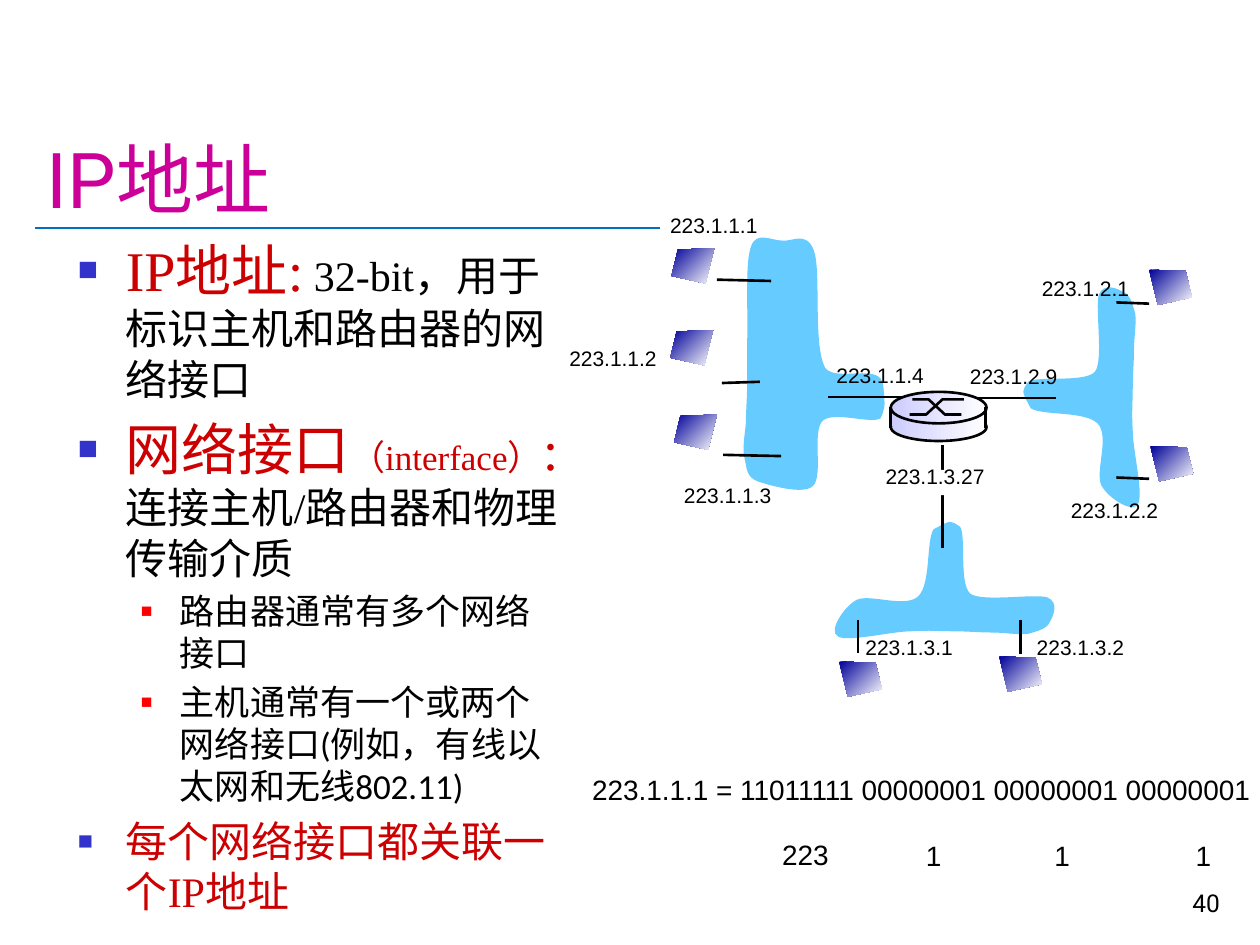
from lxml import etree
from pptx import Presentation
from pptx.dml.color import RGBColor
from pptx.enum.shapes import MSO_CONNECTOR, MSO_SHAPE
from pptx.enum.text import MSO_ANCHOR, MSO_AUTO_SIZE, PP_ALIGN
from pptx.oxml.ns import qn
from pptx.util import Inches, Pt

STRAIGHT = MSO_CONNECTOR.STRAIGHT
OVAL, RECTANGLE = MSO_SHAPE.OVAL, MSO_SHAPE.RECTANGLE
BOTTOM, TOP = MSO_ANCHOR.BOTTOM, MSO_ANCHOR.TOP
LEFT, RIGHT = PP_ALIGN.LEFT, PP_ALIGN.RIGHT
FIT, FIXED = MSO_AUTO_SIZE.SHAPE_TO_FIT_TEXT, MSO_AUTO_SIZE.NONE

BLACK, WHITE, RED = "000000", "FFFFFF", "CC0000"
SERIF = "Times New Roman"
CLOUD_BLUE = "66CCFF"
HOST_SHADE = ("000099", WHITE, 315)
ROUTER_SHADE = ("CCCCFF", WHITE, 0)

MAIN_BULLET = (0, 0.38, 0.38, "3333CC", 60)
SUB_BULLET = (1, 0.81, 0.31, "FF0000", 55)
BODY = [
    (MAIN_BULLET, [("IP地址:", 32, SERIF, RED),
                   (" 32-bit，用于标识主机和路由器的网络接口", 24, SERIF, BLACK)]),
    (MAIN_BULLET, [("网络接口", 32, SERIF, RED), ("（interface）", 20, SERIF, RED),
                   (":", 32, SERIF, RED), (" 连接主机/路由器和物理传输介质", 24, SERIF, BLACK)]),
    (SUB_BULLET, [("路由器通常有多个网络接口", 20, "Calibri", BLACK)]),
    (SUB_BULLET, [("主机通常有一个或两个网络接口(例如，有线以太网和无线802.11)", 20, "Calibri", BLACK)]),
    (MAIN_BULLET, [("每个网络接口都关联一个IP地址", 24, SERIF, RED)]),
]

WIDE_CLOUD = [
    (7.01, 3.06), (6.99, 2.87), (6.64, 3.04), (6.55, 2.92), (6.45, 2.74), (6.52, 2.16),
    (6.46, 1.99), (6.4, 1.83), (6.29, 1.92), (6.21, 1.91), (6.12, 1.91), (6, 1.83),
    (5.96, 1.96), (5.91, 2.09), (5.94, 2.53), (5.93, 2.71), (5.93, 2.9), (5.93, 2.94),
    (5.93, 3.05), (5.93, 3.16), (5.92, 3.26), (5.92, 3.36), (5.91, 3.46), (5.89, 3.57),
    (5.91, 3.64), (5.93, 3.72), (5.92, 3.78), (6.01, 3.82), (6.1, 3.85), (6.37, 3.93),
    (6.45, 3.86), (6.54, 3.78), (6.44, 3.43), (6.53, 3.34), (6.62, 3.26), (6.91, 3.37),
    (6.99, 3.32), (7.02, 3.24), (7.03, 3.25), (7.01, 3.06)]
NARROW_CLOUD = [
    (0.87, 0.78), (0.78, 0.72), (0.44, 0.76), (0.34, 0.66), (0.24, 0.56), (0.36, 0.28),
    (0.31, 0.17), (0.26, 0.07), (0.06, -0.06), (0.02, 0.02), (-0.03, 0.09), (0.06, 0.45),
    (0.06, 0.6), (0.07, 0.75), (0.06, 0.83), (0.06, 0.94), (0.06, 1.04), (0.05, 1.15),
    (0.05, 1.25), (0.05, 1.34), (0.03, 1.45), (0.04, 1.53), (0.06, 1.6), (0.08, 1.68),
    (0.13, 1.7), (0.18, 1.73), (0.29, 1.78), (0.33, 1.68), (0.36, 1.57), (0.29, 1.16),
    (0.36, 1.07), (0.44, 0.98), (0.82, 1.04), (0.89, 0.99), (0.94, 0.91), (0.95, 0.93),
    (0.87, 0.78)]
CLOUDS = [(NARROW_CLOUD, 7.49, 4.61, 270), (NARROW_CLOUD, 8.59, 3.16, 180),
          (WIDE_CLOUD, 6.46, 2.88, 0)]

LEFT_HOSTS = [(5.33, 1.97), (5.32, 2.62), (5.35, 3.29)]
OTHER_HOSTS = [(9.12, 2.14), (9.13, 3.54), (7.93, 5.21), (6.66, 5.25)]
HOST_OUTLINE = [(0, 0), (0.29, 0.01), (0.34, 0.22), (0.07, 0.28)]
HOST_WIDTH = 0.34

LINKS = [
    (5.69, 2.22, 6.12, 2.23), (5.73, 3.04, 6.03, 3.03), (5.74, 3.61, 6.2, 3.62),
    (8.86, 2.4, 9.12, 2.41), (8.86, 3.79, 9.12, 3.8),
    (6.81, 5.18, 6.81, 4.92), (8.1, 5.19, 8.1, 4.92),
    (6.57, 3.15, 7.18, 3.15), (7.74, 3.16, 8.38, 3.16), (7.48, 3.53, 7.48, 4.35)]
ADDRESSES = [
    ("223.1.1.1", 5.22, 1.64), ("223.1.1.2", 4.42, 2.69), ("223.1.1.3", 5.33, 3.78),
    ("223.1.1.4", 6.54, 2.83), ("223.1.2.9", 7.6, 2.84), ("223.1.2.2", 8.4, 3.9),
    ("223.1.2.1", 8.17, 2.14), ("223.1.3.2", 8.13, 4.99), ("223.1.3.1", 6.77, 4.99)]
BINARY_LABELS = [
    ("223.1.1.1 = 11011111 00000001 00000001 00000001", 4.6, 6.08, 5.52),
    ("223", 6.11, 6.6, 0.57), ("1", 7.25, 6.61, 0.32),
    ("1", 8.27, 6.61, 0.32), ("1", 9.39, 6.61, 0.32)]


def rgb(value):
    return RGBColor.from_string(value)


def add_run(paragraph, text, size, font, color):
    run = paragraph.add_run()
    run.text = text
    run.font.size = Pt(size)
    run.font.name = font
    run.font.color.rgb = rgb(color)


def add_text_box(slide, left, top, width, height):
    return slide.shapes.add_textbox(Inches(left), Inches(top), Inches(width), Inches(height))


def add_label(slide, text, left, top, width=0.9, height=0.3, size=12):
    frame = add_text_box(slide, left, top, width, height).text_frame
    frame.word_wrap = False
    frame.auto_size = FIT
    add_run(frame.paragraphs[0], text, size, "Arial", BLACK)


def add_line(slide, x1, y1, x2, y2, color=BLACK, weight=1.5):
    line = slide.shapes.add_connector(STRAIGHT, Inches(x1), Inches(y1), Inches(x2), Inches(y2))
    line.line.color.rgb = rgb(color)
    line.line.width = Pt(weight)
    etree.SubElement(line._element.spPr, qn("a:effectLst"))


def paint(shape, fill=None, shade=None, outlined=False):
    shape.shadow.inherit = False
    if shade:
        start, end, angle = shade
        shape.fill.gradient()
        shape.fill.gradient_angle = angle
        for stop, color in zip(shape.fill.gradient_stops, (start, end)):
            stop.color.rgb = rgb(color)
    elif fill:
        shape.fill.solid()
        shape.fill.fore_color.rgb = rgb(fill)
    else:
        shape.fill.background()
    if outlined:
        shape.line.color.rgb = rgb(BLACK)
        shape.line.width = Pt(1.5)
    else:
        shape.line.fill.background()


def add_box(slide, kind, left, top, width, height, **look):
    shape = slide.shapes.add_shape(kind, Inches(left), Inches(top), Inches(width), Inches(height))
    paint(shape, **look)


def add_outline(slide, points, close=True, **look):
    corners = [(Inches(x), Inches(y)) for x, y in points]
    builder = slide.shapes.build_freeform(*corners[0])
    builder.add_line_segments(corners[1:], close=close)
    shape = builder.convert_to_shape()
    paint(shape, **look)
    return shape


def add_cloud(slide, knots, centre_x, centre_y, rotation):
    cloud = add_outline(slide, knots, fill=CLOUD_BLUE)
    segments = list(cloud._element.iter(qn("a:lnTo")))
    for i in range(0, len(segments), 3):
        curve = etree.Element(qn("a:cubicBezTo"))
        segments[i].addprevious(curve)
        for segment in segments[i:i + 3]:
            curve.append(segment[0])
            segment.getparent().remove(segment)
    cloud.left = Inches(centre_x) - cloud.width // 2
    cloud.top = Inches(centre_y) - cloud.height // 2
    cloud.rotation = rotation


def add_title(slide):
    title = slide.shapes.title
    title.left, title.top, title.width, title.height = map(Inches, (0.27, 0.23, 9.51, 1.6))
    title.text_frame.vertical_anchor = BOTTOM
    paragraph = title.text_frame.paragraphs[0]
    paragraph.alignment = LEFT
    add_run(paragraph, "IP地址", 44, "Roboto", "CC0099")


def add_bullet(paragraph, level, margin, hanging, color, percent):
    paragraph.level = level
    properties = paragraph._p.get_or_add_pPr()
    properties.set("marL", str(Inches(margin)))
    properties.set("indent", str(-Inches(hanging)))
    bullet_color = etree.SubElement(properties, qn("a:buClr"))
    etree.SubElement(bullet_color, qn("a:srgbClr"), val=color)
    etree.SubElement(properties, qn("a:buSzPct"), val=str(percent * 1000))
    etree.SubElement(properties, qn("a:buFont"), typeface="Arial")
    etree.SubElement(properties, qn("a:buChar"), char="■")


def add_body(slide):
    frame = add_text_box(slide, 0.52, 1.82, 4.04, 5.08).text_frame
    frame.word_wrap = True
    frame.auto_size = FIXED
    frame.vertical_anchor = TOP
    for i, (bullet, runs) in enumerate(BODY):
        paragraph = frame.add_paragraph() if i else frame.paragraphs[0]
        add_bullet(paragraph, *bullet)
        if i:
            paragraph.space_before = Pt(round(runs[0][1] * 0.2, 1))
        for run in runs:
            add_run(paragraph, *run)


def add_page_number(slide):
    frame = add_text_box(slide, 7.7, 6.83, 2.08, 0.5).text_frame
    frame.word_wrap = True
    frame.vertical_anchor = BOTTOM
    frame.paragraphs[0].alignment = RIGHT
    add_run(frame.paragraphs[0], "40", 14, "Roboto", BLACK)


def add_host(slide, left, top, mirrored):
    points = [(left + (HOST_WIDTH - x if mirrored else x), top + y) for x, y in HOST_OUTLINE]
    add_outline(slide, points, shade=HOST_SHADE)


def add_router(slide):
    add_box(slide, OVAL, 7.07, 3.28, 0.76, 0.22, shade=ROUTER_SHADE, outlined=True)
    add_box(slide, RECTANGLE, 7.07, 3.25, 0.76, 0.13, shade=ROUTER_SHADE)
    add_box(slide, OVAL, 7.07, 3.11, 0.76, 0.25, shade=ROUTER_SHADE, outlined=True)
    rising = [(7.22, 3.29), (7.35, 3.29), (7.48, 3.17), (7.65, 3.17)]
    falling = [(7.24, 3.17), (7.37, 3.17), (7.5, 3.29), (7.63, 3.29)]
    for arrow in (rising, falling):
        add_outline(slide, arrow, close=False, outlined=True)
    for side in (7.07, 7.82):
        add_line(slide, side, 3.23, side, 3.4)


def add_network(slide):
    for cloud in CLOUDS:
        add_cloud(slide, *cloud)
    for link in LINKS:
        add_line(slide, *link)
    add_box(slide, RECTANGLE, 4.51, 2.78, 0.91, 0.2, fill=WHITE)
    for address in ADDRESSES:
        add_label(slide, *address)
    add_box(slide, RECTANGLE, 7.03, 3.73, 0.93, 0.2, fill=WHITE)
    add_label(slide, "223.1.3.27", 6.93, 3.63, width=1)
    for hosts, mirrored in ((LEFT_HOSTS, True), (OTHER_HOSTS, False)):
        for host in hosts:
            add_host(slide, *host, mirrored)
    add_router(slide)


def main():
    deck = Presentation()
    deck.slide_width, deck.slide_height = Inches(10), Inches(7.5)
    slide = deck.slides.add_slide(deck.slide_layouts[5])
    add_line(slide, 0.28, 1.81, 5.24, 1.81, "0070C0", 1.25)
    add_title(slide)
    add_page_number(slide)
    add_body(slide)
    add_network(slide)
    for text, left, top, width in BINARY_LABELS:
        add_label(slide, text, left, top, width, height=0.37, size=16)
    deck.save("out.pptx")


if __name__ == "__main__":
    main()
